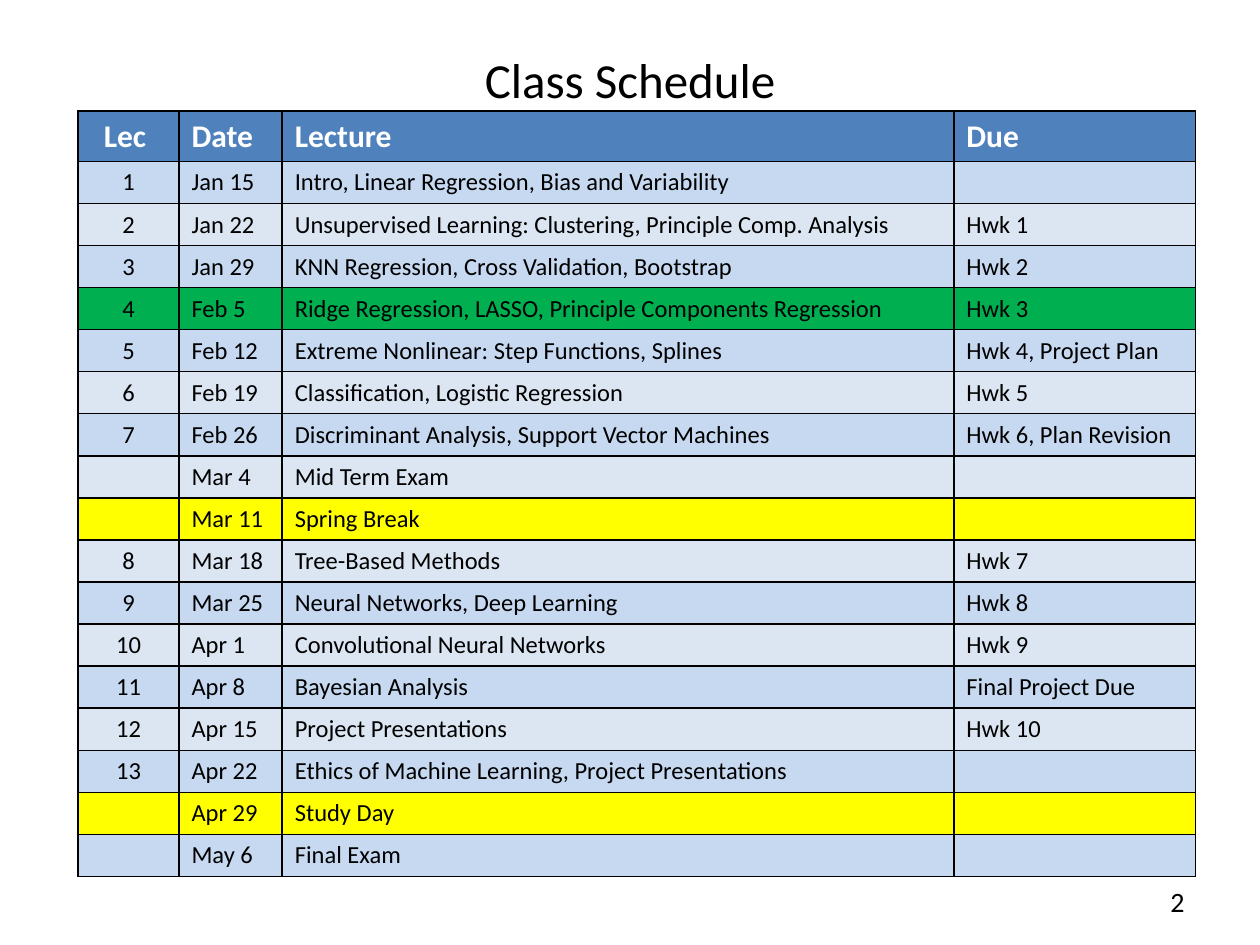
from dataclasses import dataclass

from lxml import etree
from pptx import Presentation
from pptx.dml.color import RGBColor
from pptx.enum.text import MSO_ANCHOR, PP_ALIGN
from pptx.oxml.ns import qn
from pptx.util import Inches, Pt

LEFT, CENTER, RIGHT = PP_ALIGN.LEFT, PP_ALIGN.CENTER, PP_ALIGN.RIGHT
MIDDLE = MSO_ANCHOR.MIDDLE


@dataclass(frozen=True)
class Theme:
    font: str = "Calibri"
    black: str = "000000"
    white: str = "FFFFFF"
    header: str = "4F81BD"
    bands: tuple = ("DCE6F2", "C6D9F1")
    current: str = "00B050"
    day_off: str = "FFFF00"
    title_size: int = 28
    header_size: int = 18
    body_size: int = 14
    number_size: int = 16


theme = Theme()


def write(frame, text, size, color=theme.black, bold=False, align=LEFT):
    para = frame.paragraphs[0]
    para.alignment = align
    if not text:
        # An empty cell still needs a type size, or it stretches its row
        etree.SubElement(para._p, qn("a:endParaRPr"), sz=str(size * 100))
        return
    span = para.add_run()
    span.text = text
    span.font.name = theme.font
    span.font.size = Pt(size)
    span.font.bold = bold
    span.font.color.rgb = RGBColor.from_string(color)


def paint(cell, fill):
    cell.fill.solid()
    cell.fill.fore_color.rgb = RGBColor.from_string(fill)
    for place, side in enumerate(("lnL", "lnR", "lnT", "lnB")):
        line = etree.Element(qn(f"a:{side}"), w=str(Pt(1)))
        ink = etree.SubElement(line, qn("a:solidFill"))
        etree.SubElement(ink, qn("a:srgbClr"), val=theme.black)
        cell._tc.tcPr.insert(place, line)


schedule = [
    ("Lec ", "Date", "Lecture", "Due"),
    ("1", "Jan 15", "Intro, Linear Regression, Bias and Variability", ""),
    ("2", "Jan 22", "Unsupervised Learning: Clustering, Principle Comp. Analysis", "Hwk 1"),
    ("3", "Jan 29", "KNN Regression, Cross Validation, Bootstrap", "Hwk 2"),
    ("4", "Feb 5", "Ridge Regression, LASSO, Principle Components Regression", "Hwk 3"),
    ("5", "Feb 12", "Extreme Nonlinear: Step Functions, Splines", "Hwk 4, Project Plan"),
    ("6", "Feb 19", "Classification, Logistic Regression", "Hwk 5"),
    ("7", "Feb 26", "Discriminant Analysis, Support Vector Machines", "Hwk 6, Plan Revision"),
    ("", "Mar 4", "Mid Term Exam", ""),
    ("", "Mar 11", "Spring Break", ""),
    ("8", "Mar 18", "Tree-Based Methods", "Hwk 7"),
    ("9", "Mar 25", "Neural Networks, Deep Learning", "Hwk 8"),
    ("10", "Apr 1", "Convolutional Neural Networks", "Hwk 9"),
    ("11", "Apr 8", "Bayesian Analysis", "Final Project Due"),
    ("12", "Apr 15", "Project Presentations", "Hwk 10"),
    ("13", "Apr 22", "Ethics of Machine Learning, Project Presentations", ""),
    ("", "Apr 29", "Study Day", ""),
    ("", "May 6", "Final Exam", ""),
]
special_fills = {
    "Date": theme.header,
    "Feb 5": theme.current,
    "Mar 11": theme.day_off,
    "Apr 29": theme.day_off,
}
column_widths = (0.8, 0.82, 5.33, 1.92)

deck = Presentation()
deck.slide_width, deck.slide_height = Inches(10), Inches(7.5)
page = deck.slides.add_slide(deck.slide_layouts[5])

# Title
title = page.shapes.title
title.left, title.top = Inches(0.5), Inches(0)
title.width, title.height = Inches(9), Inches(1.25)
title.text_frame.vertical_anchor = MIDDLE
write(title.text_frame, "Class Schedule", theme.title_size, align=CENTER)

# Page number
number = page.shapes.add_textbox(Inches(7.17), Inches(6.95), Inches(2.33), Inches(0.4))
number.text_frame.word_wrap = True
number.text_frame.vertical_anchor = MIDDLE
write(number.text_frame, "2", theme.number_size, align=RIGHT)

# Schedule table
table = page.shapes.add_table(
    len(schedule), len(column_widths),
    Inches(0.62), Inches(0.88), Inches(8.88), Inches(6.07),
).table
for column, width in zip(table.columns, column_widths):
    column.width = Inches(width)

for row_index, entry in enumerate(schedule):
    is_header = row_index == 0
    table.rows[row_index].height = Inches(0.4 if is_header else 0.33)
    fill = special_fills.get(entry[1], theme.bands[row_index % 2])
    for column_index, text in enumerate(entry):
        cell = table.cell(row_index, column_index)
        paint(cell, fill)
        write(
            cell.text_frame, text,
            theme.header_size if is_header else theme.body_size,
            color=theme.white if is_header else theme.black,
            bold=is_header,
            align=CENTER if column_index == 0 else LEFT,
        )

deck.save("out.pptx")
